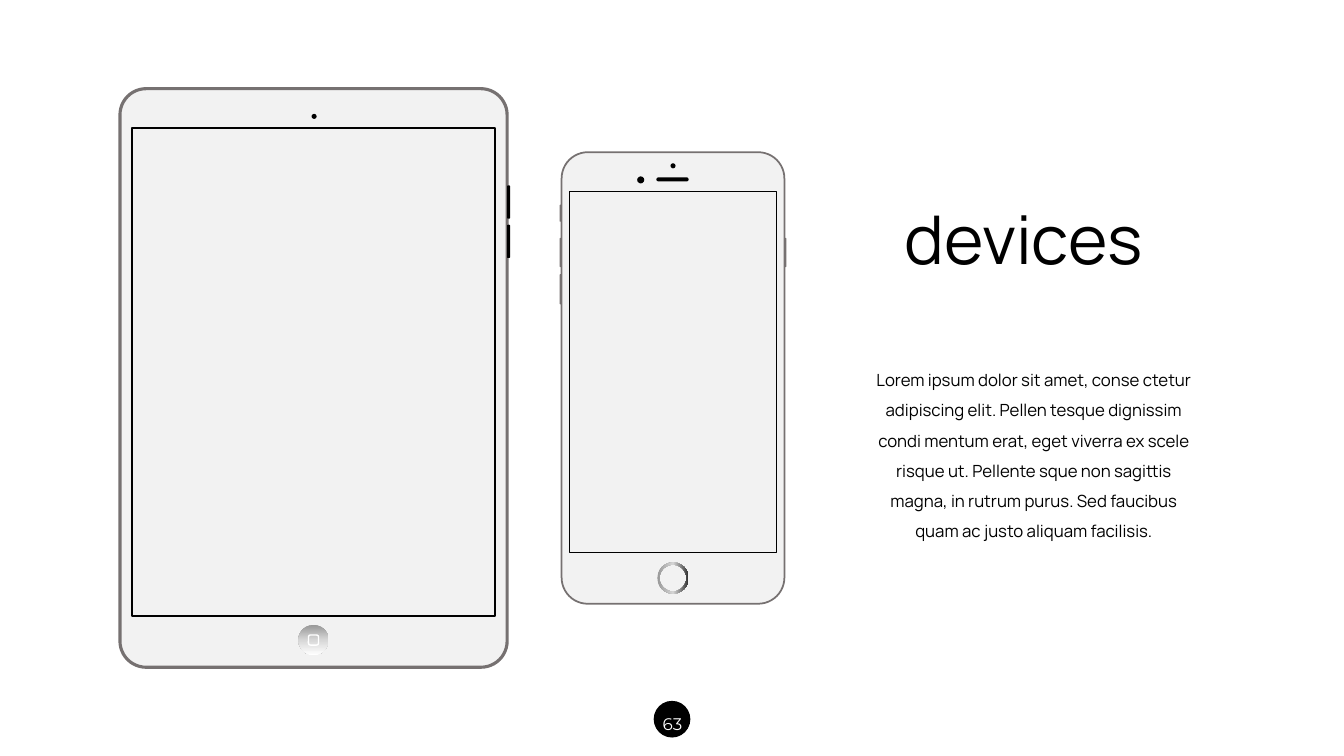
from lxml.etree import SubElement
from pptx import Presentation
from pptx.dml.color import RGBColor
from pptx.enum.shapes import MSO_SHAPE
from pptx.enum.text import MSO_ANCHOR, MSO_AUTO_SIZE, PP_ALIGN
from pptx.oxml.ns import qn
from pptx.util import Emu, Pt

EMU_PER_PX = 9144
BLACK, WHITE, CASE, EDGE = "000000", "FFFFFF", "F2F2F2", "767171"
LOREM = (
    "Lorem ipsum dolor sit amet, conse ctetur adipiscing elit. "
    "Pellen tesque dignissim condi mentum erat, eget viverra ex scele "
    "risque ut. Pellente sque non sagittis magna, in rutrum purus. "
    "Sed faucibus quam ac justo aliquam facilisis."
)


def px(length):
    """Turn whole px into EMU."""
    return Emu(length * EMU_PER_PX)


def color(hex_code):
    """Turn a hex string into a colour."""
    return RGBColor.from_string(hex_code)


def add_part(slide, preset, box, fill=None, line=None, width=1, adjust=None):
    """Add a preset shape with a flat fill and an optional outline."""
    part = slide.shapes.add_shape(preset, *map(px, box))
    part.shadow.inherit = False
    if fill:
        part.fill.solid()
        part.fill.fore_color.rgb = color(fill)
    else:
        part.fill.background()
    if line:
        part.line.color.rgb = color(line)
        part.line.width = Pt(width)
    else:
        part.line.fill.background()
    if adjust is not None:
        part.adjustments[0] = adjust
    return part


def add_rounded(slide, box, radius, **style):
    """Add a rounded rectangle whose corner radius is in px."""
    return add_part(slide, MSO_SHAPE.ROUNDED_RECTANGLE, box,
                    adjust=radius / min(box[2:]), **style)


def add_dot(slide, left, top, size, **style):
    """Add a circle."""
    return add_part(slide, MSO_SHAPE.OVAL, (left, top, size, size), **style)


def shade(part, hex_codes, degrees):
    """Fill a shape with evenly spaced gradient stops."""
    part.fill.gradient()
    gradient = part._element.spPr.find(qn("a:gradFill"))
    for child in list(gradient):
        gradient.remove(child)
    stops = SubElement(gradient, qn("a:gsLst"))
    for index, hex_code in enumerate(hex_codes):
        position = 100000 * index // (len(hex_codes) - 1)
        stop = SubElement(stops, qn("a:gs"), pos=str(position))
        SubElement(stop, qn("a:srgbClr"), val=hex_code)
    SubElement(gradient, qn("a:lin"), ang=str(degrees * 60000), scaled="0")


def write(holder, box, words, size, font, hex_code, align, spacing=1.0):
    """Place a text holder and write one formatted run without a bullet."""
    holder.left, holder.top, holder.width, holder.height = map(px, box)
    frame = holder.text_frame
    frame.word_wrap = True
    frame.auto_size = MSO_AUTO_SIZE.NONE
    frame.vertical_anchor = MSO_ANCHOR.TOP
    paragraph = frame.paragraphs[0]
    paragraph.alignment = align
    paragraph.line_spacing = spacing
    paragraph.space_before = Pt(0)
    properties = paragraph._p.get_or_add_pPr()
    properties.set("marL", "0")
    properties.set("indent", "0")
    SubElement(properties, qn("a:buNone"))
    run = paragraph.add_run()
    run.text = words
    run.font.size = Pt(size)
    run.font.name = font
    run.font.color.rgb = color(hex_code)


def add_tablet(slide):
    """Draw the tablet."""
    add_rounded(slide, (119, 88, 384, 574), 26, fill=CASE, line=EDGE, width=2.25)
    add_dot(slide, 309, 113, 5, fill=BLACK)
    home = add_dot(slide, 296, 620, 30)
    shade(home, ("979797", "D7D7D7", WHITE), 90)
    add_rounded(slide, (306, 630, 10, 10), 2, line=WHITE)
    for top in (184, 223):
        add_rounded(slide, (503, top, 3, 33), 1, fill=BLACK)
    add_part(slide, MSO_SHAPE.RECTANGLE, (131, 127, 360, 484), line=BLACK)


def add_phone(slide):
    """Draw the phone."""
    for left, top, height in ((555, 203, 17), (555, 236, 29),
                              (555, 272, 30), (778, 236, 29)):
        add_rounded(slide, (left, top, 2, height), 1, fill=EDGE)
    add_rounded(slide, (557, 151, 221, 448), 26, fill=CASE, line=EDGE, width=1.25)
    add_dot(slide, 632, 175, 7, fill=BLACK)
    add_dot(slide, 665, 162, 5, fill=BLACK)
    add_rounded(slide, (651, 176, 32, 4), 2, fill=BLACK)
    home = add_part(slide, MSO_SHAPE.DONUT, (652, 558, 31, 31), adjust=0.07)
    shade(home, ("979797", "D7D7D7", "303030"), 0)
    add_part(slide, MSO_SHAPE.RECTANGLE, (565, 190, 205, 358), line=BLACK)


def main():
    """Build the devices slide."""
    deck = Presentation()
    deck.slide_width, deck.slide_height = px(1333), px(750)
    slide = deck.slides.add_slide(deck.slide_layouts[1])
    add_tablet(slide)
    add_dot(slide, 649, 696, 35, fill=BLACK, line=BLACK)
    page_box = (642, 693, 50, 37)
    page = slide.shapes.add_textbox(*map(px, page_box))
    write(page, page_box, "63", 12, "Montserrat", WHITE, PP_ALIGN.CENTER, 1.5)
    add_phone(slide)
    write(slide.shapes.title, (887, 191, 278, 91), "devices", 48,
          "Manrope", BLACK, PP_ALIGN.LEFT)
    write(slide.placeholders[1], (856, 352, 339, 192), LOREM, 12,
          "Manrope", BLACK, PP_ALIGN.CENTER, 1.5)
    deck.save("out.pptx")


if __name__ == "__main__":
    main()
